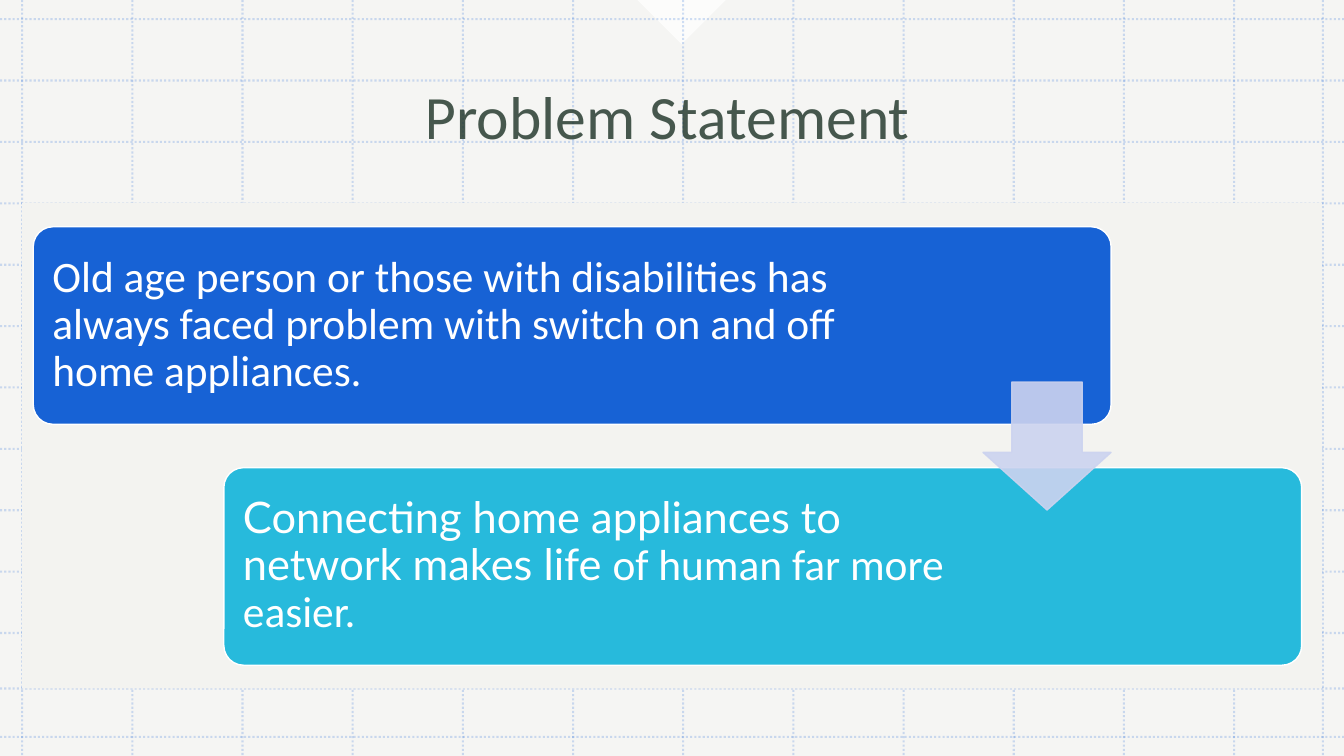
from pptx import Presentation, util as u
from pptx.dml.color import RGBColor
from pptx.enum import dml, shapes, text
from pptx.oxml.ns import qn
from lxml import etree

WIDE, HIGH = 13.33, 7.5
KIND = shapes.MSO_SHAPE


class Theme:
    """Colours, fonts and type sizes."""
    page, panel, white = "F5F5F3", "F3F3F0", "FFFFFF"
    blue, cyan, arrow, ink = "1762D5", "27BADC", "CCD3EF", "1B3024"
    font, alt = "Calibri", "Lato"
    head, body = 44, 31


def put(item, form):
    """Set attributes from a dict of format values."""
    for name, value in form.items():
        setattr(item, name, value)


def fade(item, share):
    """Make every plain colour below an element partly opaque."""
    for tint in item.iter(qn("a:srgbClr")):
        etree.SubElement(tint, qn("a:alpha")).set("val", str(share * 1000))


class Page:
    """Holds the theme and the current slide."""

    def __init__(self, deck, theme):
        """Add a title-only slide with a plain background."""
        self.theme = theme
        self.slide = deck.slides.add_slide(deck.slide_layouts[5])
        fill = self.slide.background.fill
        fill.solid()
        fill.fore_color.rgb = RGBColor.from_string(theme.page)

    def rule(self, x1, y1, x2, y2):
        """Draw one faint dotted grid line."""
        ends = [u.Inches(v) for v in (x1, y1, x2, y2)]
        line = self.slide.shapes.add_connector(shapes.MSO_CONNECTOR.STRAIGHT, *ends)
        line.line.color.rgb = RGBColor.from_string(self.theme.blue)
        put(line.line, {"width": u.Pt(1.5), "dash_style": dml.MSO_LINE.ROUND_DOT})
        props = line._element.spPr
        fade(props, 20)
        etree.SubElement(props, qn("a:effectLst"))

    def shape(self, kind, box, color, edge=None, adj=(), share=100, turn=0):
        """Draw a filled preset shape."""
        item = self.slide.shapes.add_shape(kind, *[u.Inches(v) for v in box])
        item.shadow.inherit = False
        item.rotation = turn
        for at, value in enumerate(adj):
            item.adjustments[at] = value
        item.fill.solid()
        item.fill.fore_color.rgb = RGBColor.from_string(color)
        if edge:
            item.line.color.rgb = RGBColor.from_string(edge)
            item.line.width = u.Pt(1)
        else:
            item.line.fill.background()
        if share < 100:
            fade(item._element.spPr, share)

    def label(self, item, runs, size, color, align):
        """Fill a text holder with one paragraph of (words, font) runs."""
        frame = item.text_frame
        put(frame, {"word_wrap": True, "auto_size": text.MSO_AUTO_SIZE.NONE,
                    "vertical_anchor": text.MSO_ANCHOR.MIDDLE})
        para = frame.paragraphs[0]
        put(para, {"alignment": align, "line_spacing": 0.9})
        for words, font in runs:
            run = para.add_run()
            run.text = words
            put(run.font, {"name": font, "size": u.Pt(size)})
            run.font.color.rgb = RGBColor.from_string(color)

    def title(self, words, box):
        """Move and format the title placeholder, in front of the grid."""
        item = self.slide.shapes.title
        put(item, dict(zip(("left", "top", "width", "height"), map(u.Inches, box))))
        self.label(item, [(words, self.theme.font)], self.theme.head,
                   self.theme.ink, text.PP_ALIGN.CENTER)
        fade(item._element.txBody, 80)
        item._element.getparent().append(item._element)

    def card(self, left, top, color, wide, runs):
        """Draw a rounded card with its text set in from the edge."""
        self.shape(KIND.ROUNDED_RECTANGLE, (left, top, 10.69, 1.96), color,
                   self.theme.white, [0.1])
        box = (left + 0.06, top + 0.06, wide, 1.84)
        item = self.slide.shapes.add_textbox(*[u.Inches(v) for v in box])
        sides = ("left", "top", "right", "bottom")
        put(item.text_frame, {"margin_" + side: u.Inches(0.13) for side in sides})
        self.label(item, runs, self.theme.body, self.theme.white, text.PP_ALIGN.LEFT)


def main():
    """Build the slide and save it."""
    deck = Presentation()
    put(deck, {"slide_width": u.Inches(WIDE), "slide_height": u.Inches(HIGH)})
    look = Theme()
    page = Page(deck, look)

    page.shape(KIND.RIGHT_TRIANGLE, (6.45, -0.31, 0.62, 0.62), look.white,
               share=75, turn=315)
    for x in [0.22 + 12.02 * i / 11 for i in range(12)] + [13.12]:
        page.rule(x, 0, x, HIGH)
    for y in [0.19 + 6.09 * i / 10 for i in range(11)] + [6.83, 7.31]:
        page.rule(0, y, WIDE, y)
    page.shape(KIND.RECTANGLE, (0.22, 2.01, 12.89, 4.82), look.panel)
    page.title("Problem Statement", (0.33, 0.37, 12.58, 1.64))

    page.card(0.33, 2.25, look.blue, 8.67, [
        ("Old age person or those with disabilities has always faced "
         "problem with switch on and off home appliances.", look.font)])
    page.card(2.22, 4.64, look.cyan, 7.42, [
        ("Connecting home appliances to network makes life ", look.alt),
        ("of human far more easier.", look.font)])
    page.shape(KIND.DOWN_ARROW, (9.75, 3.79, 1.27, 1.27), look.arrow,
               look.arrow, [0.55, 0.45], share=90)
    deck.save("out.pptx")


main()
